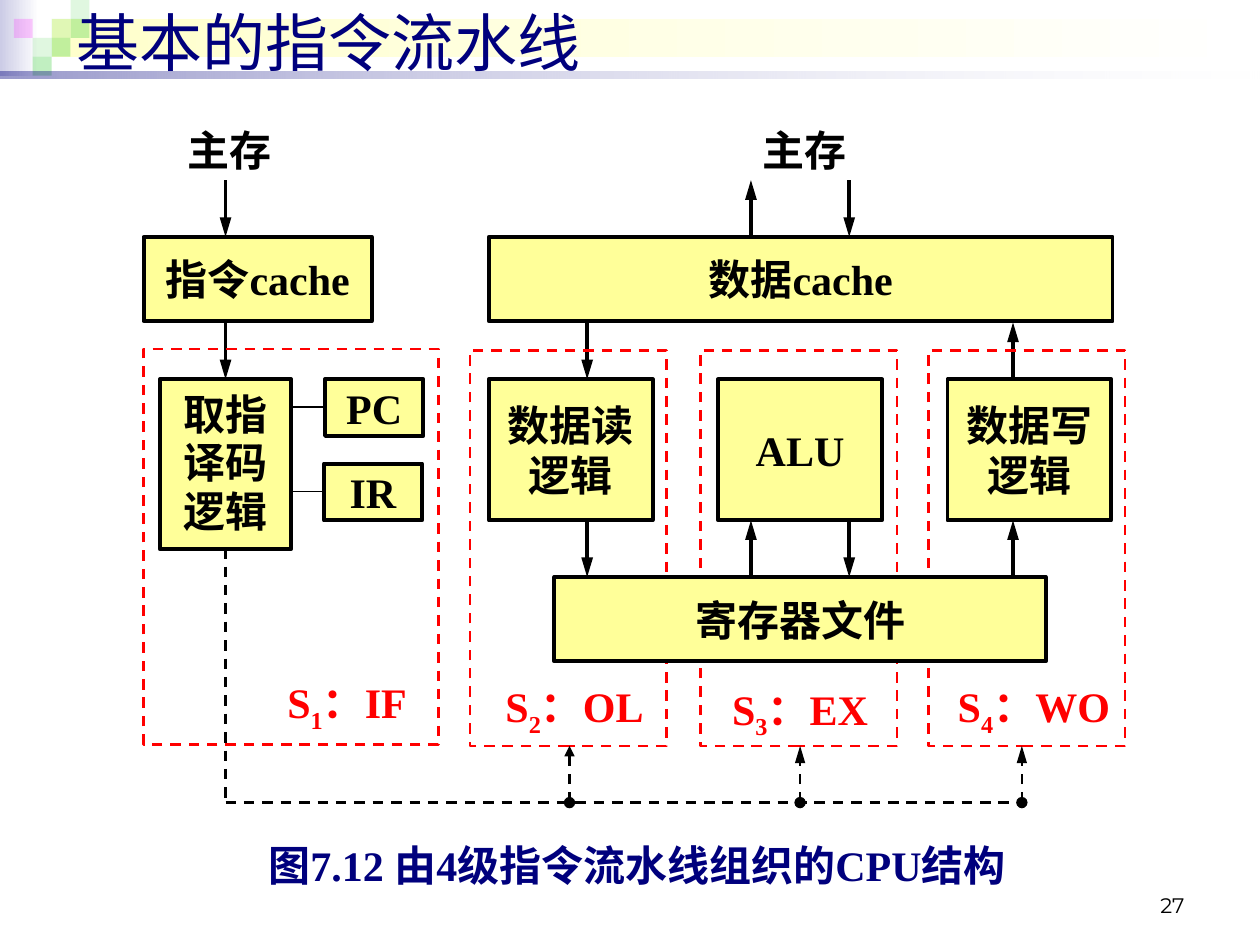
from dataclasses import dataclass
from typing import Any, Optional

import lxml.etree
import pptx
import pptx.dml.color
import pptx.enum.dml
import pptx.enum.shapes
import pptx.enum.text
import pptx.oxml.ns
import pptx.util

EMU_PER_PX = 9144  # 100 px to the inch
SHAPES = pptx.enum.shapes.MSO_SHAPE
ALIGN = pptx.enum.text.PP_ALIGN
ANCHOR = pptx.enum.text.MSO_ANCHOR
DASH = pptx.enum.dml.MSO_LINE.DASH


@dataclass(frozen=True)
class Theme:
    ink: str = "000000"
    navy: str = "00007D"
    box: str = "FFFF99"
    stage: str = "FF0000"
    paper: str = "FFFFFF"
    lavender: str = "CCCCE6"
    cream: str = "FFFFCC"
    green: str = "33CC33"
    magenta: str = "FF00FF"
    diagram_font: str = "Times New Roman"
    title_font: str = "Arial"
    number_font: str = "Montserrat"
    title_size: int = 36
    diagram_size: int = 24
    number_size: int = 12
    heavy: float = 2.25
    medium: float = 1.5
    thin: float = 1
    hairline: float = 0.75


THEME = Theme()


@dataclass(frozen=True)
class Area:
    left: int
    top: int
    width: int
    height: int

    def emu(self) -> list[int]:
        return [px(v) for v in (self.left, self.top, self.width, self.height)]


@dataclass(frozen=True)
class Unit:
    text: str
    area: Area
    inset: int = 6
    spacing: float = 1.0


@dataclass(frozen=True)
class Stage:
    number: str
    name: str
    frame: Area
    label: Area


@dataclass(frozen=True)
class Link:
    start: tuple[int, int]
    end: tuple[int, int]
    width: float = THEME.heavy
    dashed: bool = False
    arrow: Optional[str] = "lg"  # length of the arrowhead


def px(length: int) -> int:
    return length * EMU_PER_PX


def rgb(color: str) -> pptx.dml.color.RGBColor:
    return pptx.dml.color.RGBColor.from_string(color)


def apply(target: Any, values: dict[str, Any]) -> None:
    for name, value in values.items():
        setattr(target, name, value)


def set_opacity(parent: Any, percent: int) -> None:
    color = parent.find(".//" + pptx.oxml.ns.qn("a:srgbClr"))
    lxml.etree.SubElement(color, pptx.oxml.ns.qn("a:alpha"), val=str(percent * 1000))


def draw_shape(slide: Any, area: Area, fill: Optional[str] = None, line: Optional[str] = None,
               width: float = THEME.heavy, dashed: bool = False, kind: Any = SHAPES.RECTANGLE) -> Any:
    shape = slide.shapes.add_shape(kind, *area.emu())
    shape.shadow.inherit = False
    if fill:
        shape.fill.solid()
        shape.fill.fore_color.rgb = rgb(fill)
    else:
        shape.fill.background()
    if line:
        shape.line.color.rgb = rgb(line)
        shape.line.width = pptx.util.Pt(width)
        if dashed:
            shape.line.dash_style = DASH
    else:
        shape.line.fill.background()
    return shape


def draw_fade(slide: Any, area: Area, stops: list[tuple[str, int]]) -> None:
    """Draw a bar that fades left to right through (colour, opacity) stops."""
    bar = draw_shape(slide, area)
    bar.fill.gradient()
    bar.fill.gradient_angle = 0
    for position, (stop, (color, opacity)) in enumerate(zip(bar.fill.gradient_stops, stops)):
        stop.position = position
        stop.color.rgb = rgb(color)
        if opacity < 100:
            set_opacity(stop._gs, opacity)


def write(shape: Any, runs: list[tuple[str, bool]], color: str = THEME.ink, size: int = THEME.diagram_size,
          font: str = THEME.diagram_font, bold: bool = True, align: Any = ALIGN.CENTER,
          anchor: Any = ANCHOR.MIDDLE, inset: tuple[int, int] = (0, 0), wrap: bool = True,
          spacing: float = 1.0) -> None:
    """Fill a shape with one paragraph of (text, is subscript) runs."""
    across, down = map(px, inset)
    frame = shape.text_frame
    apply(frame, {"word_wrap": wrap, "vertical_anchor": anchor, "margin_left": across,
                  "margin_right": across, "margin_top": down, "margin_bottom": down})
    paragraph = frame.paragraphs[0]
    apply(paragraph, {"alignment": align, "line_spacing": spacing})
    for text, subscript in runs:
        run = paragraph.add_run()
        run.text = text
        apply(run.font, {"name": font, "size": pptx.util.Pt(size), "bold": bold})
        run.font.color.rgb = rgb(color)
        if subscript:
            run._r.get_or_add_rPr().set("baseline", "-25000")


def draw_unit(slide: Any, unit: Unit) -> None:
    shape = draw_shape(slide, unit.area, THEME.box, THEME.ink)
    write(shape, [(unit.text, False)], inset=(unit.inset, 5 if unit.inset else 0), spacing=unit.spacing)


def draw_link(slide: Any, link: Link) -> None:
    line = slide.shapes.add_connector(pptx.enum.shapes.MSO_CONNECTOR.STRAIGHT,
                                      *map(px, link.start + link.end))
    line.line.color.rgb = rgb(THEME.ink)
    line.line.width = pptx.util.Pt(link.width)
    if link.dashed:
        line.line.dash_style = DASH
    if link.arrow:
        lxml.etree.SubElement(line.line._get_or_add_ln(), pptx.oxml.ns.qn("a:tailEnd"),
                              type="triangle", w="med", len=link.arrow)
    lxml.etree.SubElement(line._element.spPr, pptx.oxml.ns.qn("a:effectLst"))


def draw_banner(slide: Any) -> None:
    draw_fade(slide, Area(0, 0, 31, 60), [(THEME.lavender, 100), (THEME.paper, 100)])
    draw_fade(slide, Area(41, 15, 955, 30), [(THEME.cream, 100), (THEME.paper, 100)])
    tiles = [(2, 1, THEME.green, 15), (3, 0, THEME.green, 15), (3, 1, THEME.green, 30),
             (1, 2, THEME.green, 15), (0, 1, THEME.magenta, 20), (2, 2, THEME.green, 30),
             (1, 3, THEME.green, 30)]
    for column, row, color, opacity in tiles:
        tile = draw_shape(slide, Area(11 + 15 * column, 15 * row, 15, 15), color)
        set_opacity(tile._element.spPr, opacity)
    draw_fade(slide, Area(0, 57, 1000, 5), [(THEME.navy, 40), (THEME.paper, 10)])


def draw_pipeline(slide: Any) -> None:
    for unit in [Unit("指令cache", Area(114, 188, 181, 67), 10), Unit("数据cache", Area(388, 188, 495, 67), 10),
                 Unit("取指译码逻辑", Area(127, 301, 104, 135), spacing=0.96),
                 Unit("PC", Area(258, 301, 78, 45), 0), Unit("IR", Area(257, 368, 78, 45), 0)]:
        draw_unit(slide, unit)
    for index, text in enumerate(["数据读逻辑", "ALU", "数据写逻辑"]):
        draw_unit(slide, Unit(text, Area(388 + 182 * index, 301, 130, 112)))

    above_cache, below_cache, below_logic = (143, 188), (256, 301), (413, 458)
    downward = [(179, above_cache), (674, above_cache), (179, below_cache), (466, below_cache),
                (466, below_logic), (674, below_logic)]
    upward = [(596, above_cache), (804, below_cache), (596, below_logic), (804, below_logic)]
    for x, (top, bottom) in downward:
        draw_link(slide, Link((x, top), (x, bottom)))
    for x, (top, bottom) in upward:
        draw_link(slide, Link((x, bottom), (x, top)))
    for y in (323, 390):
        draw_link(slide, Link((231, y), (257, y), THEME.thin, arrow=None))
    for left in (149, 605):
        memory = slide.shapes.add_textbox(*Area(left, 99, 67, 40).emu())
        write(memory, [("主存", False)], wrap=False)

    stages = [Stage("1", "IF", Area(114, 277, 234, 314), Area(220, 537, 111, 46)),
              Stage("2", "OL", Area(373, 278, 156, 314), Area(393, 540, 126, 46)),
              Stage("3", "EX", Area(556, 278, 156, 314), Area(573, 542, 124, 46)),
              Stage("4", "WO", Area(737, 278, 156, 314), Area(752, 540, 137, 46))]
    for stage in stages:
        draw_shape(slide, stage.frame, line=THEME.stage, width=THEME.medium, dashed=True)
    draw_unit(slide, Unit("寄存器文件", Area(440, 458, 390, 67), 10))
    for stage in stages:
        label = slide.shapes.add_textbox(*stage.label.emu())
        write(label, [("S", False), (stage.number, True), ("：" + stage.name, False)],
              color=THEME.stage, wrap=False)


def draw_control_path(slide: Any) -> None:
    bus = 637
    for start, end in [((179, 435), (179, bus)), ((179, bus), (804, bus))]:
        draw_link(slide, Link(start, end, THEME.medium, dashed=True, arrow=None))
    for x, arrow in [(452, "med"), (635, "lg"), (811, "lg")]:
        draw_link(slide, Link((x, bus), (x, 592), THEME.medium, dashed=True, arrow=arrow))
        draw_shape(slide, Area(x - 4, bus - 4, 8, 8), THEME.ink, THEME.ink, THEME.hairline,
                   kind=SHAPES.FLOWCHART_CONNECTOR)


def main() -> None:
    deck = pptx.Presentation()
    apply(deck, {"slide_width": px(1000), "slide_height": px(750)})
    slide = deck.slides.add_slide(deck.slide_layouts[5])
    draw_banner(slide)

    title = slide.shapes.title
    slide.shapes._spTree.append(title._element)  # bring the title in front of the banner
    apply(title, dict(zip(("left", "top", "width", "height"), Area(51, -3, 937, 71).emu())))
    write(title, [("基本的指令流水线", False)], THEME.navy, THEME.title_size, THEME.title_font,
          bold=False, align=ALIGN.LEFT, inset=(10, 0))

    draw_pipeline(slide)
    draw_control_path(slide)
    caption = draw_shape(slide, Area(213, 645, 594, 82), THEME.paper)
    write(caption, [("图7.12 由4级指令流水线组织的CPU结构", False)], THEME.navy, align=ALIGN.JUSTIFY)
    number = slide.shapes.add_textbox(*Area(717, 683, 233, 50).emu())
    write(number, [("27", False)], size=THEME.number_size, font=THEME.number_font, bold=False,
          align=ALIGN.RIGHT, anchor=ANCHOR.BOTTOM, inset=(10, 5))
    deck.save("out.pptx")


if __name__ == "__main__":
    main()
